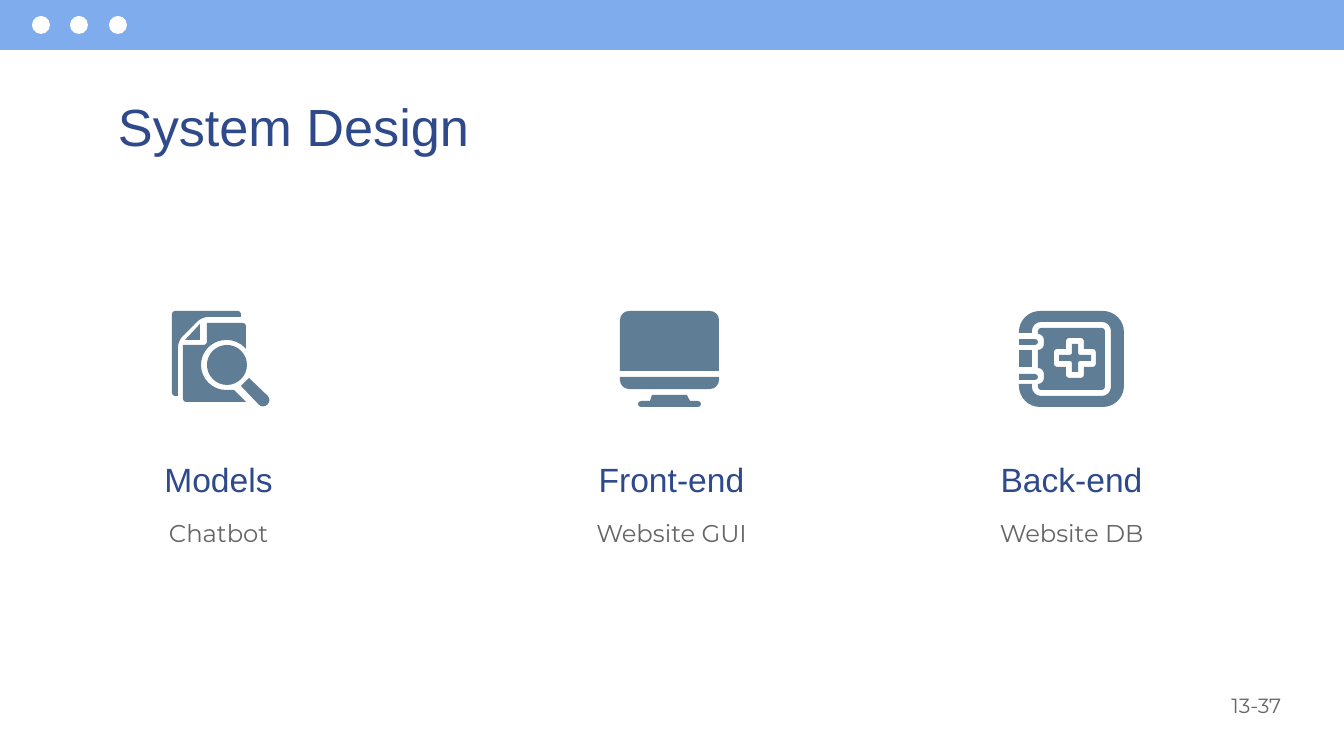
import math
from dataclasses import dataclass

import pptx
import pptx.util
import pptx.dml.color
import pptx.enum.shapes
import pptx.enum.text
import pptx.oxml.ns

SCALE = 914400 / 134.4
KIND = pptx.enum.shapes.MSO_SHAPE
ALIGN = pptx.enum.text.PP_ALIGN
ANCHOR = pptx.enum.text.MSO_ANCHOR
TAG = pptx.oxml.ns.qn


def px(count):
    return pptx.util.Emu(round(count * SCALE))


@dataclass(frozen=True)
class Theme:
    bar: str = "7EACEC"
    white: str = "FFFFFF"
    navy: str = "2F4A8A"
    gray: str = "666666"
    icon: str = "5F7D95"
    head_font: str = "Arial"
    body_font: str = "Montserrat"
    title: int = 28
    head: int = 18
    body: int = 13
    page: int = 11


def color(code):
    return pptx.dml.color.RGBColor.from_string(code)


def write(frame, text, *, size, font, ink, align=ALIGN.LEFT, after=0,
          anchor=ANCHOR.TOP):
    frame.word_wrap = True
    frame.vertical_anchor = anchor
    frame.margin_left = frame.margin_right = px(13)
    frame.margin_top = frame.margin_bottom = px(13)
    line = frame.paragraphs[0]
    line.alignment = align
    line.space_after = pptx.util.Pt(after)
    run = line.add_run()
    run.text = text
    run.font.size = pptx.util.Pt(size)
    run.font.name = font
    run.font.color.rgb = color(ink)


def toward(start, goal, dist):
    part = dist / math.dist(start, goal)
    return tuple(a + (b - a) * part for a, b in zip(start, goal))


def bend(points):
    """Turn (x, y, radius) corners into (x, y, starts a curve) dots."""
    out = []
    for i, (x, y, *rad) in enumerate(points):
        if not rad:
            out.append((x, y, False))
            continue
        ends = [points[i - 1][:2], points[(i + 1) % len(points)][:2]]
        first, last = (toward((x, y), end, rad[0]) for end in ends)
        lead, trail = (toward((x, y), end, rad[0] * 0.45) for end in ends)
        out += [(*first, False), (*lead, True), (*trail, False), (*last, False)]
    return out


def curve(shape, flags):
    nodes = list(shape.element.iter(TAG("a:moveTo"), TAG("a:lnTo")))
    for i, node in enumerate(nodes):
        if flags[i]:
            node.tag = TAG("a:cubicBezTo")
            for extra in nodes[i + 1:i + 3]:
                node.append(extra[0])
                extra.getparent().remove(extra)


def block(x, y, wide, high, top=None, base=None):
    ends = [(x, y, top), (x + wide, y, top),
            (x + wide, y + high, base), (x, y + high, base)]
    return [(a, b, rad) if rad else (a, b) for a, b, rad in ends]


def cross(x, y, wide, high, arm, tip=None, nook=None):
    side = [(arm, -high, tip), (arm, -arm, nook), (wide, -arm, tip),
            (wide, arm, tip), (arm, arm, nook), (arm, high, tip)]
    side += [(-dx, -dy, rad) for dx, dy, rad in side]
    return [(x + dx, y + dy, rad) if rad else (x + dx, y + dy)
            for dx, dy, rad in side]


class Deck:
    def __init__(self, theme):
        self.theme = theme
        self.file = pptx.Presentation()
        self.file.slide_width, self.file.slide_height = px(1344), px(756)
        self.slide = self.file.slides.add_slide(self.file.slide_layouts[6])

    def paint(self, shape, fill):
        shape.shadow.inherit = False
        shape.fill.solid()
        shape.fill.fore_color.rgb = color(fill)
        shape.line.fill.background()
        return shape

    def shape(self, kind, box, fill):
        item = self.slide.shapes.add_shape(kind, *map(px, box))
        return self.paint(item, fill)

    def text(self, text, box, **form):
        item = self.slide.shapes.add_textbox(*map(px, box))
        write(item.text_frame, text, **form)

    def trace(self, *rings, fill=None):
        pen, flags = None, []
        for ring in rings:
            bent = bend(ring)
            flags += [flag for _, _, flag in bent]
            dots = [(px(x), px(y)) for x, y, _ in bent]
            if pen is None:
                pen = self.slide.shapes.build_freeform(*dots[0], scale=1.0)
            else:
                pen.move_to(*dots[0])
            pen.add_line_segments(dots[1:], close=True)
        item = pen.convert_to_shape()
        curve(item, flags)
        self.paint(item, fill or self.theme.icon)

    def column(self, left, head, body):
        look = self.theme
        self.text(head, (left, 446, 335, 69), size=look.head,
                  font=look.head_font, ink=look.navy, align=ALIGN.CENTER)
        self.text(body, (left, 505, 335, 113), size=look.body, after=12,
                  font=look.body_font, ink=look.gray, align=ALIGN.CENTER)

    def search(self):
        self.trace([(172, 311, 3), (241, 311, 3), (241, 317), (202, 317, 6),
                    (178, 341, 6), (178, 396), (172, 396, 3)])
        self.trace([(200, 324), (200, 340), (185, 340)])
        self.trace(block(207, 345, 40, 40, 20, 20))
        self.trace([(207, 323), (207, 345, 3), (183, 345), (183, 402, 3),
                    (246, 402), (234, 390), (201, 390, 25), (201, 340, 25),
                    (238, 340, 10), (246, 349), (246, 323, 3)])
        self.trace([(249, 378), (272, 400, 6), (263, 409, 6), (241, 386)])

    def screen(self):
        self.trace([(652, 395), (687, 395), (690, 401), (701, 401, 3),
                    (701, 407, 3), (638, 407, 3), (638, 401, 3), (650, 401)])
        self.trace(block(620, 377, 99, 12, base=9))
        self.trace(block(620, 311, 99, 60, top=9))

    def book(self):
        self.trace(block(1019, 350, 13, 17))
        for top in (374, 339):
            self.trace([(1019, top), (1038, top, 3), (1038, top + 6, 3),
                        (1019, top + 6)])
        self.trace([(1019, 311, 21), (1124, 311, 21), (1124, 407, 21),
                    (1019, 407, 21), (1019, 384), (1032, 384), (1032, 396, 9),
                    (1111, 396, 9), (1111, 322, 9), (1032, 322, 9),
                    (1032, 333), (1019, 333)])
        self.trace(cross(1075, 358, 16, 14, 3, nook=2))
        self.trace([(1038, 328, 3), (1105, 328, 3), (1105, 390, 3),
                    (1038, 390, 3), (1038, 384), (1044, 384, 6),
                    (1044, 368, 6), (1038, 368), (1038, 350),
                    (1044, 350, 6), (1044, 334, 6), (1038, 334)],
                   cross(1075, 358, 21, 20, 9, tip=3))

    def number(self, text):
        look = self.theme
        item = self.shape(KIND.RECTANGLE, (1182, 672, 149, 66), look.white)
        item.line.color.rgb = color(look.white)
        item.line.width = pptx.util.Pt(2)
        write(item.text_frame, text, size=look.page, font=look.body_font,
              ink=look.gray, align=ALIGN.CENTER, anchor=ANCHOR.MIDDLE)


def main():
    look = Theme()
    deck = Deck(look)
    deck.trace(block(0, 0, 1344, 50), fill=look.bar)
    for i in range(3):
        deck.shape(KIND.OVAL, (32 + 77 * i // 2, 16, 18, 18), look.white)
    deck.text("System Design", (105, 81, 1134, 69), size=look.title,
              font=look.head_font, ink=look.navy)
    for left, head, body in ((504, "Front-end", "Website GUI"),
                             (904, "Back-end", "Website DB"),
                             (51, "Models", "Chatbot")):
        deck.column(left, head, body)
    deck.screen()
    deck.book()
    deck.search()
    deck.number("13-37")
    deck.file.save("out.pptx")


if __name__ == "__main__":
    main()
